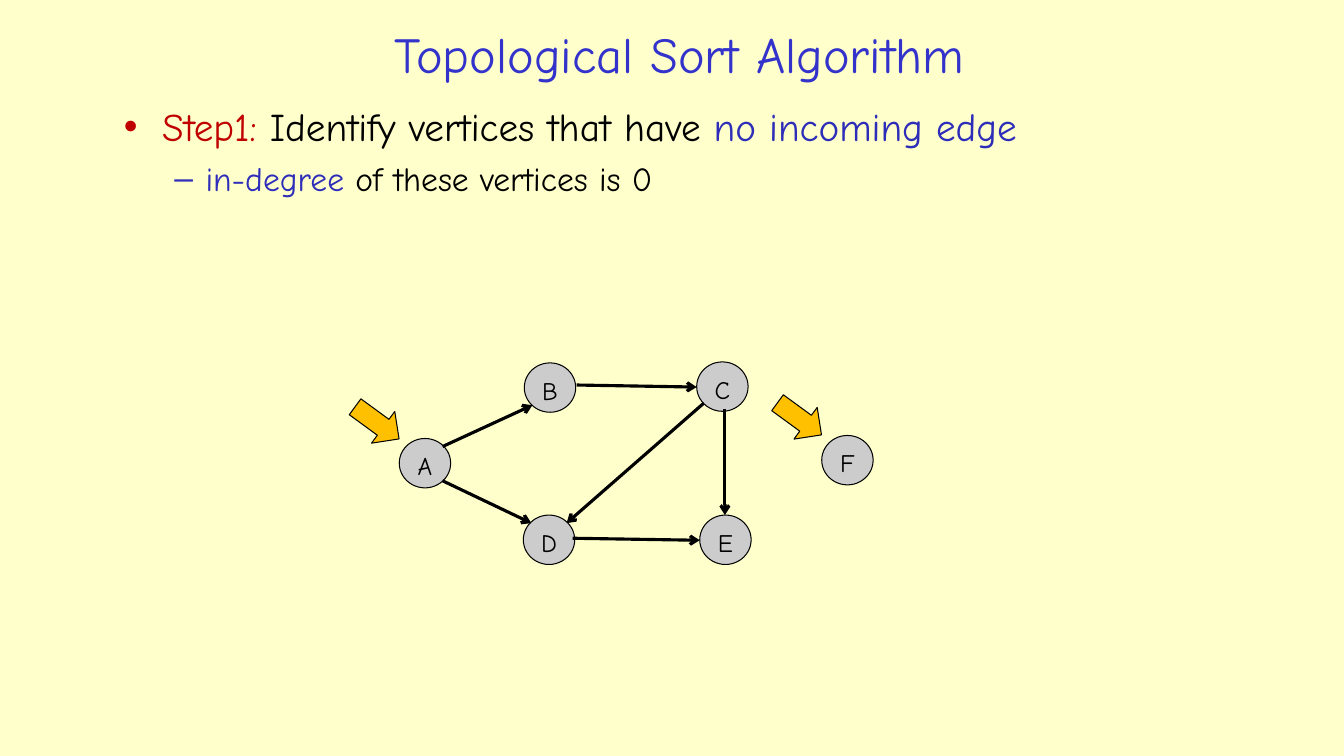
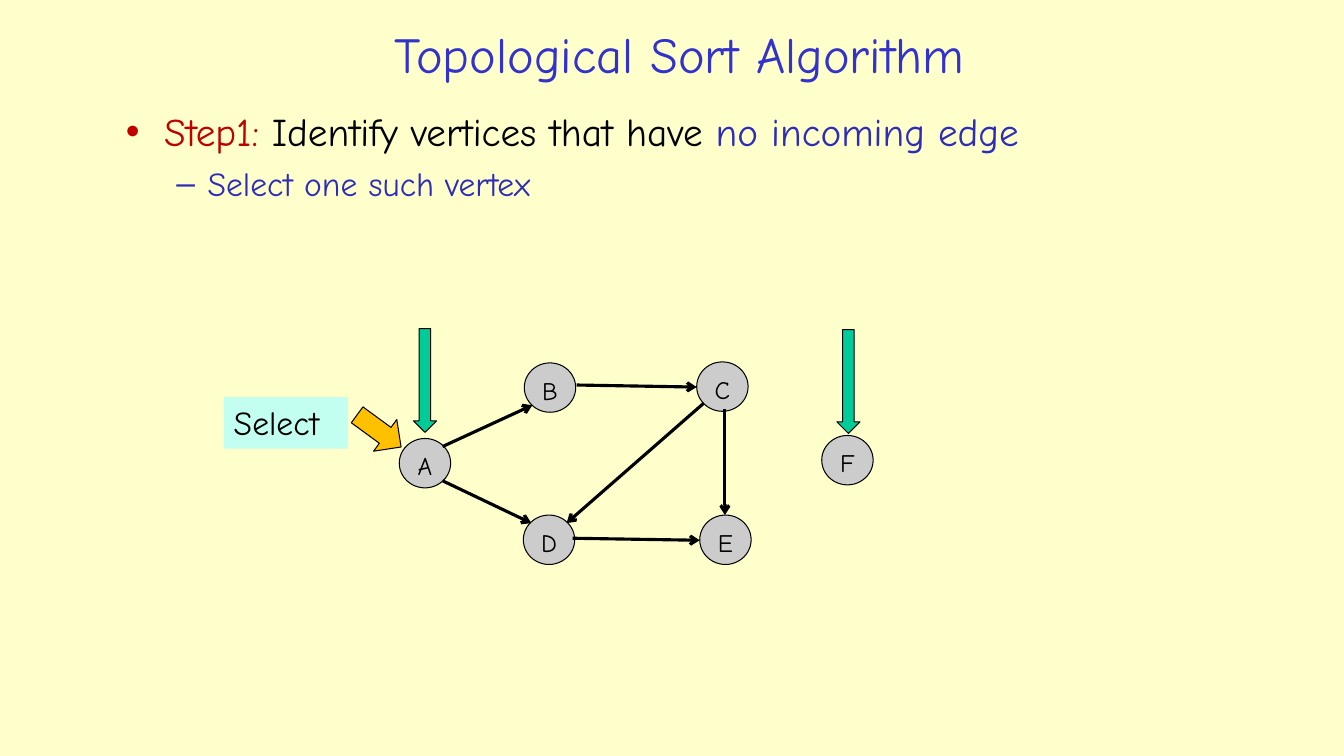
from lxml.etree import SubElement
from pptx import Presentation
from pptx.dml.color import RGBColor
from pptx.enum.shapes import MSO_CONNECTOR, MSO_SHAPE
from pptx.enum.text import MSO_ANCHOR, PP_ALIGN
from pptx.oxml.ns import qn
from pptx.util import Pt

PX = 9144  # 100 px to the inch
FONT = "Comic Neue"
INK, RED, BLUE = "000000", "C00000", "2D2DB9"
PAGE, TITLE, NODE = "FFFFCC", "3333CC", "CCCCCC"
GOLD, GREEN, MINT = "FFC000", "00CC99", "C2FFF0"

# Content shared by both slides
HEAD = "Topological Sort Algorithm"
STEP = [("Step1: ", RED), ("Identify vertices that have ", INK),
        ("no incoming edge", BLUE)]
NODES = {"A": (396, 435), "B": (520, 360), "C": (691, 359),
         "D": (519, 511), "F": (815, 432), "E": (694, 511)}
EDGES = [(439, 443, 528, 402), (572, 382, 691, 384), (719, 406, 719, 511),
         (439, 477, 527, 519), (568, 534, 694, 536), (698, 400, 562, 519)]

# Paragraph levels: bullet, size, left margin, hanging indent, space before
LEVELS = [("•", 28, 38, 38, 0), ("–", 24, 81, 31, 5.5)]

# Pointer kinds: preset, width, height, angle, fill
KINDS = {"gold": (MSO_SHAPE.RIGHT_ARROW, 54, 39, 36.2, GOLD),
         "green": (MSO_SHAPE.DOWN_ARROW, 23, 103, 0, GREEN)}

SLIDES = [
    {"body": (113, 97, 1038, 166),
     "sub": [("in-degree", BLUE), (" of these vertices is 0", INK)],
     "marks": [("gold", 347, 400), ("gold", 766, 396)]},
    {"body": (115, 102, 1061, 166),
     "sub": [("Select one such vertex", BLUE)],
     "tag": ("Select", (222, 394, 123, 51)),
     "marks": [("gold", 349, 408), ("green", 410, 326),
               ("green", 830, 327)]},
]


def rgb(code):
    return RGBColor.from_string(code)


def emu(nums):
    return [n * PX for n in nums]


def put(obj, vals):
    for key, val in vals.items():
        setattr(obj, key, val)


def write(para, runs, size):
    for text, color in runs:
        run = para.add_run()
        run.text = text
        put(run.font, {"name": FONT, "size": Pt(size)})
        run.font.color.rgb = rgb(color)


def add_text(slide, box, runs, size, align, anchor):
    frame = slide.shapes.add_textbox(*emu(box)).text_frame
    put(frame, {"word_wrap": True, "vertical_anchor": anchor})
    frame.paragraphs[0].alignment = align
    write(frame.paragraphs[0], runs, size)


def add_body(slide, box, rows):
    frame = slide.shapes.add_textbox(*emu(box)).text_frame
    frame.word_wrap = True
    for i, (runs, level) in enumerate(zip(rows, LEVELS)):
        mark, size, left, hang, gap = level
        para = frame.add_paragraph() if i else frame.paragraphs[0]
        put(para, {"level": i, "space_before": Pt(gap),
                   "alignment": PP_ALIGN.LEFT})
        props = para._p.get_or_add_pPr()
        props.set("marL", str(left * PX))
        props.set("indent", str(-hang * PX))
        SubElement(props, qn("a:buFont"), typeface="Arial")
        SubElement(props, qn("a:buChar"), char=mark)
        write(para, runs, size)


def add_form(slide, kind, box, fill, edge=True):
    form = slide.shapes.add_shape(kind, *emu(box))
    form.shadow.inherit = False
    form.fill.solid()
    form.fill.fore_color.rgb = rgb(fill)
    if edge:
        form.line.color.rgb = rgb(INK)
        form.line.width = Pt(0.75)
    else:
        form.line.fill.background()
    return form


def add_node(slide, name, spot):
    frame = add_form(slide, MSO_SHAPE.OVAL, (*spot, 51, 49), NODE).text_frame
    put(frame, {"margin_left": 0, "margin_right": 0,
                "vertical_anchor": MSO_ANCHOR.TOP})
    frame.paragraphs[0].alignment = PP_ALIGN.CENTER
    write(frame.paragraphs[0], [(name, INK)], 18)


def add_edge(slide, ends):
    edge = slide.shapes.add_connector(MSO_CONNECTOR.STRAIGHT, *emu(ends))
    edge.line.color.rgb = rgb(INK)
    edge.line.width = Pt(2.25)
    SubElement(edge.line._get_or_add_ln(), qn("a:tailEnd"), type="arrow")
    SubElement(edge._element.spPr, qn("a:effectLst"))


def add_tag(slide, text, box):
    frame = add_form(slide, MSO_SHAPE.RECTANGLE, box, MINT, False).text_frame
    put(frame, {"word_wrap": True, "vertical_anchor": MSO_ANCHOR.TOP})
    frame.paragraphs[0].alignment = PP_ALIGN.LEFT
    write(frame.paragraphs[0], [(text, INK)], 24)


def build(deck, data):
    slide = deck.slides.add_slide(deck.slide_layouts[6])
    slide.background.fill.solid()
    slide.background.fill.fore_color.rgb = rgb(PAGE)

    # Title and steps
    add_text(slide, (197, 15, 954, 76), [(HEAD, TITLE)], 36,
             PP_ALIGN.CENTER, MSO_ANCHOR.MIDDLE)
    add_body(slide, data["body"], [STEP, data["sub"]])

    # Graph
    for name, spot in NODES.items():
        add_node(slide, name, spot)
    for ends in EDGES:
        add_edge(slide, ends)

    # Label and pointers
    if "tag" in data:
        add_tag(slide, *data["tag"])
    for kind, x, y in data["marks"]:
        preset, wide, high, angle, fill = KINDS[kind]
        add_form(slide, preset, (x, y, wide, high), fill).rotation = angle


def main():
    deck = Presentation()
    put(deck, {"slide_width": 1333 * PX, "slide_height": 750 * PX})
    for data in SLIDES:
        build(deck, data)
    deck.save("out.pptx")


if __name__ == "__main__":
    main()
